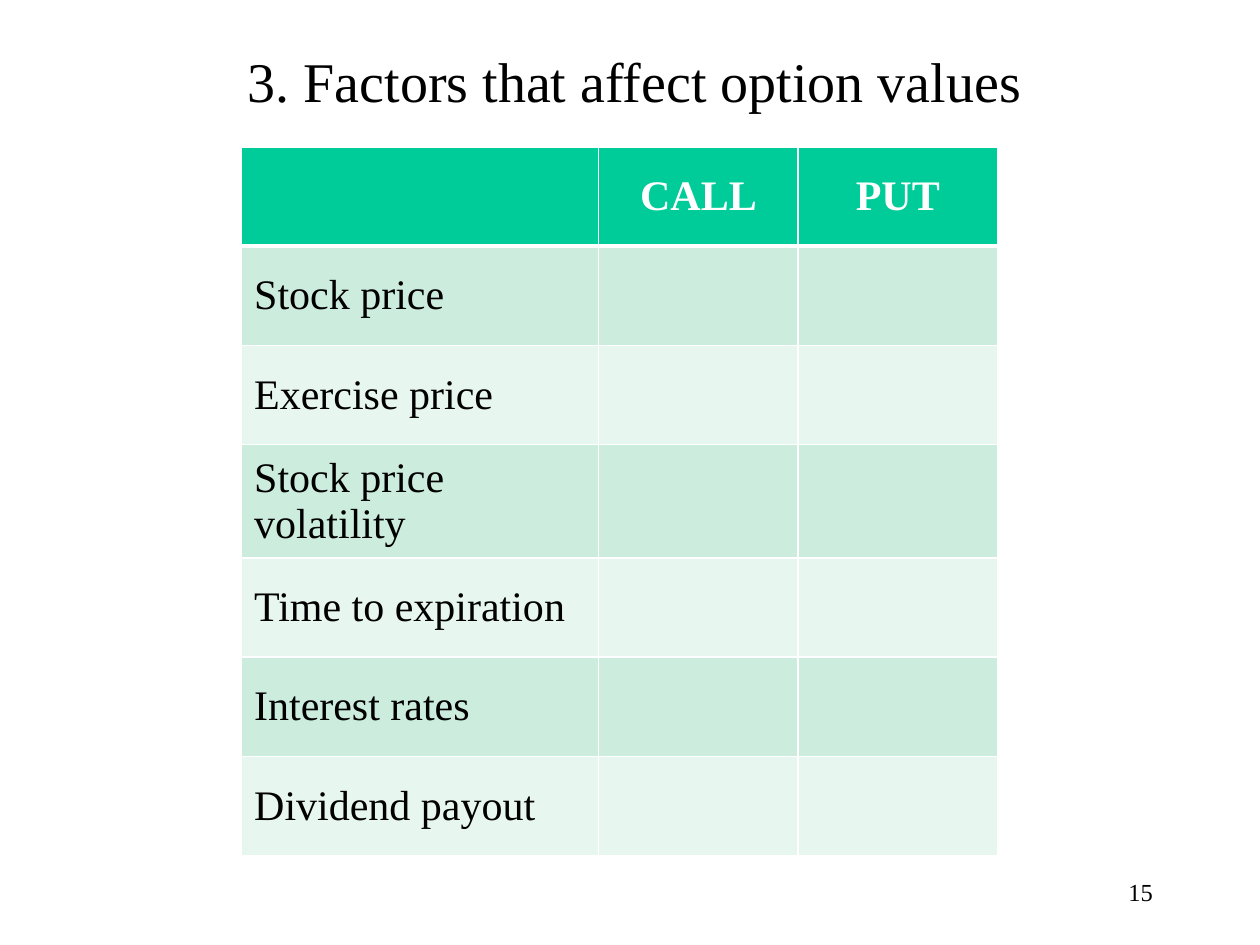
from dataclasses import dataclass

from lxml.etree import SubElement
from pptx import Presentation
from pptx.dml.color import RGBColor
from pptx.enum.text import MSO_ANCHOR as Anchor, PP_ALIGN as Align
from pptx.oxml.ns import qn
from pptx.util import Cm, Pt


@dataclass(frozen=True)
class Theme:
    font: str = "Times New Roman"
    ink: str = "000000"
    white: str = "FFFFFF"
    header: str = "00CC99"
    bands: tuple = ("CCECDE", "E7F6EF")
    title_size: int = 32
    table_size: int = 24
    number_size: int = 14
    thin: int = 1
    thick: int = 3


@dataclass(frozen=True)
class Box:
    left: float
    top: float
    width: float
    height: float

    def lengths(self) -> tuple:
        return Cm(self.left), Cm(self.top), Cm(self.width), Cm(self.height)


@dataclass(frozen=True)
class Row:
    texts: tuple
    fill: str
    color: str
    align: Align
    bold: bool = False
    top: int = 1
    bottom: int = 1


THEME = Theme()
TITLE_BOX = Box(1.27, 1.07, 23.06, 1.7)
TABLE_BOX = Box(4.87, 2.96, 15.24, 14)
NUMBER_BOX = Box(18.21, 17.35, 5.28, 1.27)
COLUMNS = (7.2, 4.02, 4.02)
FACTORS = (
    "Stock price",
    "Exercise price",
    "Stock price volatility",
    "Time to expiration",
    "Interest rates",
    "Dividend payout",
)


def write(frame, text: str, size: int, color: str, align: Align, bold: bool = False):
    para = frame.paragraphs[0]
    para.alignment = align
    span = para.add_run()
    span.text = text
    span.font.name = THEME.font
    span.font.size = Pt(size)
    span.font.bold = bold
    span.font.color.rgb = RGBColor.from_string(color)
    return para


def draw_borders(cell, top: int, bottom: int) -> None:
    properties = cell._tc.get_or_add_tcPr()
    widths = {"lnL": THEME.thin, "lnR": THEME.thin, "lnT": top, "lnB": bottom}
    for side, width in widths.items():
        line = SubElement(properties, qn(f"a:{side}"), w=str(Pt(width)))
        fill = SubElement(line, qn("a:solidFill"))
        SubElement(fill, qn("a:srgbClr"), val=THEME.white)


def draw_row(cells, row: Row) -> None:
    for cell, text in zip(cells, row.texts):
        draw_borders(cell, row.top, row.bottom)
        cell.fill.solid()
        cell.fill.fore_color.rgb = RGBColor.from_string(row.fill)
        cell.vertical_anchor = Anchor.MIDDLE
        if text:
            write(cell.text_frame, text, THEME.table_size, row.color, row.align, row.bold)


def draw_table(page, rows: list[Row]) -> None:
    table = page.shapes.add_table(len(rows), len(COLUMNS), *TABLE_BOX.lengths()).table
    for column, width in zip(table.columns, COLUMNS):
        column.width = Cm(width)
    for table_row, row in zip(table.rows, rows):
        draw_row(table_row.cells, row)


def draw_title(page, text: str) -> None:
    title = page.shapes.title
    title.left, title.top, title.width, title.height = TITLE_BOX.lengths()
    title.text_frame.vertical_anchor = Anchor.TOP
    para = write(title.text_frame, text, THEME.title_size, THEME.ink, Align.CENTER)
    para.line_spacing = 0.8


def draw_number(page, text: str) -> None:
    frame = page.shapes.add_textbox(*NUMBER_BOX.lengths()).text_frame
    frame.word_wrap = True
    frame.vertical_anchor = Anchor.MIDDLE
    write(frame, text, THEME.number_size, THEME.ink, Align.RIGHT)


def factor_rows() -> list[Row]:
    header = Row(("", "CALL", "PUT"), THEME.header, THEME.white, Align.CENTER,
                 bold=True, bottom=THEME.thick)
    body = [
        Row((factor, "", ""), THEME.bands[index % 2], THEME.ink, Align.LEFT,
            top=THEME.thin if index else THEME.thick)
        for index, factor in enumerate(FACTORS)
    ]
    return [header, *body]


def main() -> None:
    deck = Presentation()
    deck.slide_width, deck.slide_height = Cm(25.4), Cm(19.05)
    page = deck.slides.add_slide(deck.slide_layouts.get_by_name("Title Only"))
    draw_number(page, "15")
    draw_title(page, "3. Factors that affect option values")
    draw_table(page, factor_rows())
    deck.save("out.pptx")


if __name__ == "__main__":
    main()
